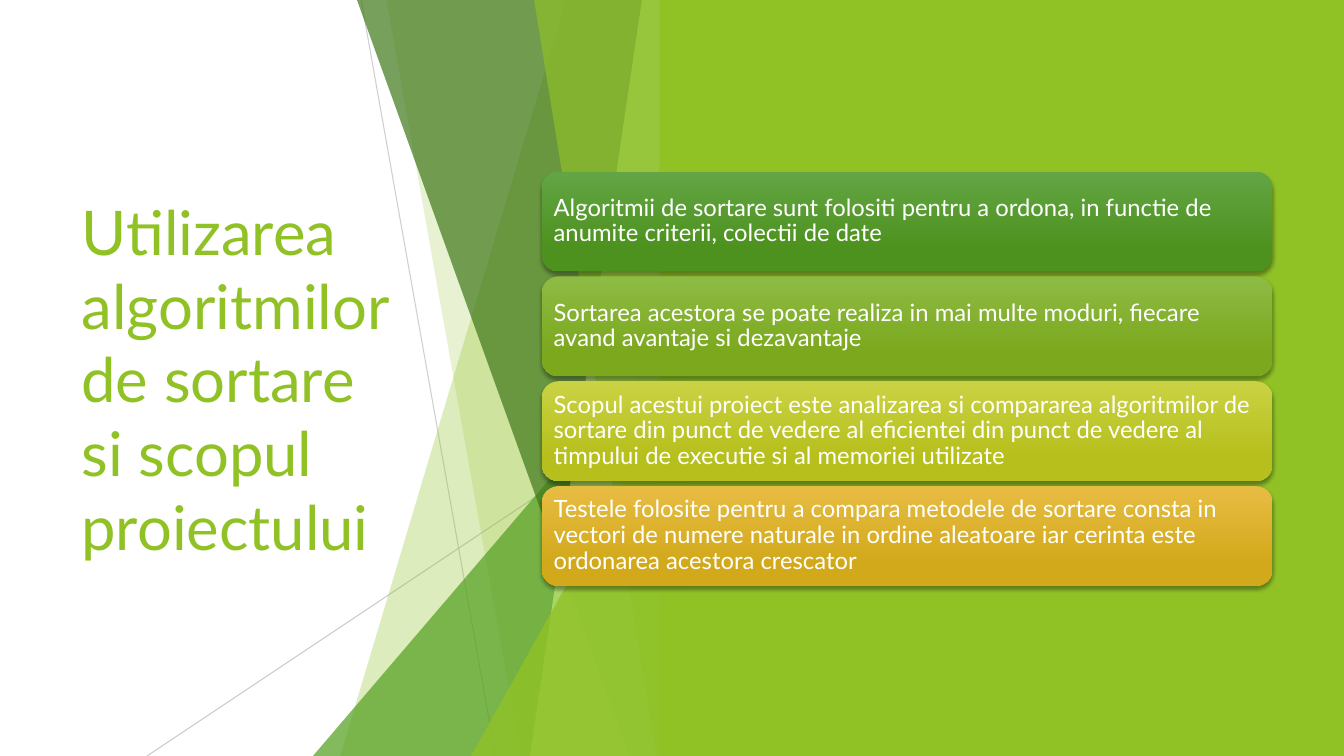
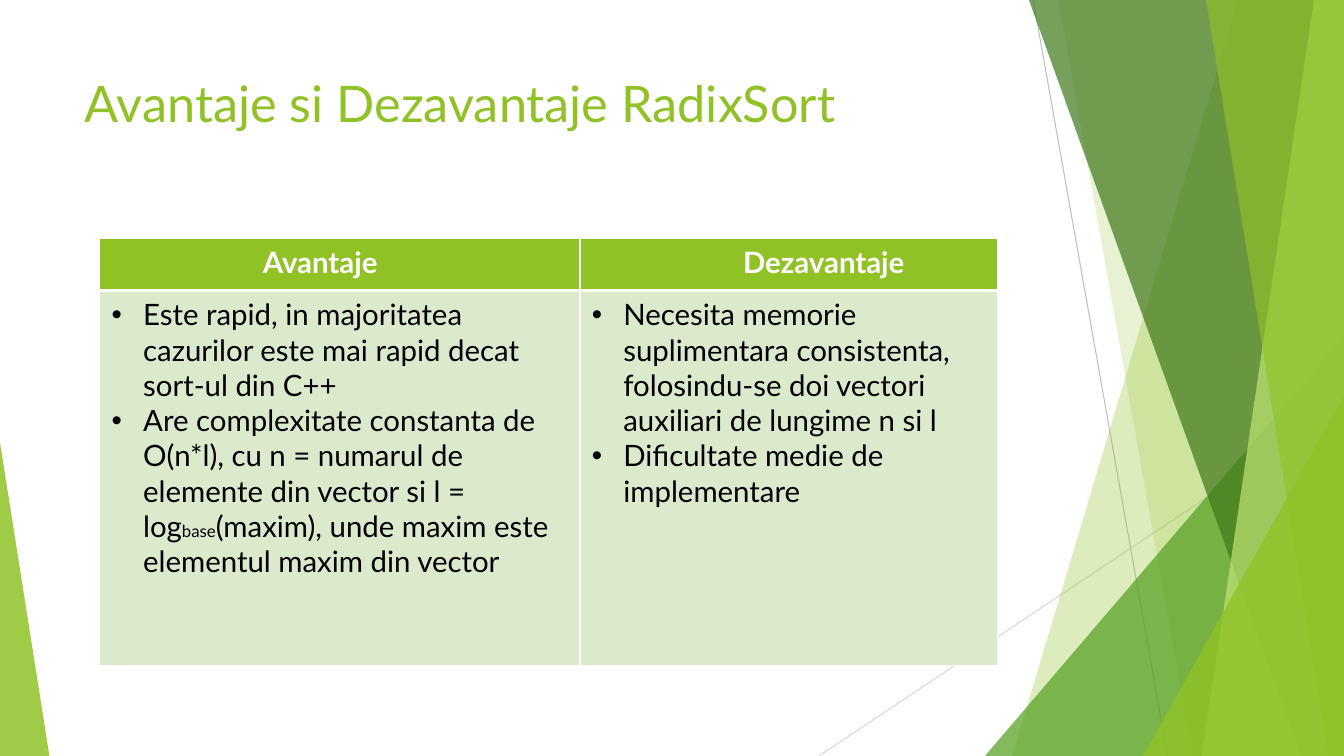
from lxml.etree import SubElement
from pptx import Presentation
from pptx.dml.color import RGBColor
from pptx.enum.shapes import MSO_CONNECTOR, MSO_SHAPE as SHAPE
from pptx.enum.text import MSO_ANCHOR as ANCHOR, MSO_AUTO_SIZE, PP_ALIGN as ALIGN
from pptx.oxml.ns import qn
from pptx.util import Pt

# Shared style
FONT = "Lato"
WIDTH, HEIGHT = 960, 540
WHITE = RGBColor(0xFF, 0xFF, 0xFF)
BLACK = RGBColor(0x00, 0x00, 0x00)
LIME = RGBColor(0x90, 0xC2, 0x26)
GREEN = RGBColor(0x54, 0xA0, 0x21)
FOREST = RGBColor(0x3F, 0x78, 0x19)
PALE_LIME = RGBColor(0xC0, 0xE4, 0x74)
MINT = RGBColor(0xDB, 0xE9, 0xCD)
GRAY = RGBColor(0xBF, 0xBF, 0xBF)
LIGHT_GRAY = RGBColor(0xD9, 0xD9, 0xD9)

# Facets, measured leftwards from the right edge of the group:
# reach at the top, reach at the bottom, top, colour, opacity
FACETS = [
    (75.6, 237, 0, LIME, 30),
    (204, 108, 0, LIME, 20),
    (0, 256.5, 240, GREEN, 72),
    (225, 30.5, 0, FOREST, 70),
    (21.5, 101.5, 0, PALE_LIME, 70),
    (98.5, 11, 0, LIME, 65),
    (0, 143.5, 283, LIME, 80),
]
RAYS = [((222, 0), (126, HEIGHT)), ((0, 290), (375, HEIGHT))]


def set_alpha(shape, percent):
    for color in shape._element.spPr.iter(qn("a:srgbClr")):
        SubElement(color, qn("a:alpha"), val=str(percent * 1000))


def write(paragraph, text, size=17, color=WHITE, bold=False, align=ALIGN.LEFT, spacing=None):
    paragraph.alignment = align
    if spacing:
        paragraph.line_spacing = spacing
    run = paragraph.add_run()
    run.text = text
    run.font.name = FONT
    run.font.size = Pt(size)
    run.font.bold = bold
    run.font.color.rgb = color


def indent(paragraph, left, first=0, bullet=None):
    props = paragraph._p.get_or_add_pPr()
    props.set("marL", str(Pt(left)))
    props.set("indent", str(Pt(first)))
    if bullet:
        SubElement(props, qn("a:buFont"), typeface="Arial")
        SubElement(props, qn("a:buChar"), char=bullet)


def set_borders(cell, **widths):
    props = cell._tc.get_or_add_tcPr()
    for place, side in enumerate("LRTB"):
        line = SubElement(props, qn(f"a:ln{side}"), w=str(Pt(widths.get(side, 1))))
        fill = SubElement(line, qn("a:solidFill"))
        SubElement(fill, qn("a:srgbClr"), val=str(WHITE))
        props.insert(place, line)


class Deck:
    def __init__(self):
        self.prs = Presentation()
        self.prs.slide_width, self.prs.slide_height = Pt(WIDTH), Pt(HEIGHT)
        self.slide = None

    def new_slide(self, title, box, size, anchor):
        self.slide = self.prs.slides.add_slide(self.prs.slide_layouts[5])
        heading = self.slide.shapes.title
        heading.left, heading.top, heading.width, heading.height = map(Pt, box)
        frame = heading.text_frame
        frame.word_wrap = True
        frame.auto_size = MSO_AUTO_SIZE.NONE
        frame.vertical_anchor = anchor
        write(frame.paragraphs[0], title, size=size, color=LIME)

    def finish(self, shape, color, alpha=None):
        shape.fill.solid()
        shape.fill.fore_color.rgb = color
        shape.line.fill.background()
        shape.shadow.inherit = False
        if alpha:
            set_alpha(shape, alpha)

    def block(self, kind, box, color, alpha=None, adjust=None):
        shape = self.slide.shapes.add_shape(kind, *map(Pt, box))
        if adjust is not None:
            shape.adjustments[0] = adjust
        self.finish(shape, color, alpha)

    def polygon(self, points, color, alpha):
        start, *rest = [(Pt(x), Pt(y)) for x, y in points]
        builder = self.slide.shapes.build_freeform(*start)
        builder.add_line_segments(rest, close=True)
        self.finish(builder.convert_to_shape(), color, alpha)

    def ray(self, start, end, color, alpha):
        line = self.slide.shapes.add_connector(
            MSO_CONNECTOR.STRAIGHT, *map(Pt, (*start, *end)))
        line.line.color.rgb = color
        line.line.width = Pt(0.75)
        set_alpha(line, alpha)
        SubElement(line._element.spPr, qn("a:effectLst"))

    def facets(self, right, ray_styles):
        for (start, end), (color, alpha) in zip(RAYS, ray_styles):
            self.ray((right - start[0], start[1]), (right - end[0], end[1]), color, alpha)
        for upper, lower, top, color, alpha in FACETS:
            if upper:
                corners = [(right - upper, top), (right, top),
                           (right, HEIGHT), (right - lower, HEIGHT)]
                self.polygon(corners, color, alpha)
            else:
                box = (right - lower, top, lower, HEIGHT - top)
                self.block(SHAPE.ISOSCELES_TRIANGLE, box, color, alpha, adjust=1)

    def card(self, box, text, upper, lower):
        card = self.slide.shapes.add_shape(SHAPE.ROUNDED_RECTANGLE, *map(Pt, box))
        card.fill.gradient()
        card.fill.gradient_angle = 270
        for stop, color, position in zip(card.fill.gradient_stops, (upper, lower), (0, 0.78)):
            stop.color.rgb = RGBColor.from_string(color)
            stop.position = position
        card.line.fill.background()
        # Soft shadow straight below
        card.shadow.inherit = False
        shadow = SubElement(card._element.spPr.find(qn("a:effectLst")), qn("a:outerShdw"),
                            blurRad=str(Pt(3)), dist=str(Pt(2)), dir="5400000",
                            algn="ctr", rotWithShape="0")
        black = SubElement(shadow, qn("a:srgbClr"), val=str(BLACK))
        SubElement(black, qn("a:alpha"), val="35000")
        frame = card.text_frame
        frame.word_wrap = True
        frame.vertical_anchor = ANCHOR.MIDDLE
        frame.margin_left = frame.margin_right = Pt(5)
        frame.margin_top = frame.margin_bottom = Pt(5)
        write(frame.paragraphs[0], text, spacing=0.9)

    def comparison(self, box, widths, heights, columns):
        table = self.slide.shapes.add_table(2, len(columns), *map(Pt, box)).table
        for row, height in zip(table.rows, heights):
            row.height = Pt(height)
        for index, (heading, points) in enumerate(columns):
            table.columns[index].width = Pt(widths[index])
            head, body = table.cell(0, index), table.cell(1, index)
            for cell, color in ((head, LIME), (body, MINT)):
                cell.fill.solid()
                cell.fill.fore_color.rgb = color
                cell.margin_left = cell.margin_right = Pt(8.5)
                cell.margin_top = cell.margin_bottom = Pt(4.5)
            set_borders(head, B=3)
            set_borders(body, T=3)
            title = head.text_frame.paragraphs[0]
            write(title, heading, size=21, bold=True)
            indent(title, 108)
            frame = body.text_frame
            for number, runs in enumerate(points):
                point = frame.add_paragraph() if number else frame.paragraphs[0]
                for text, size in runs:
                    write(point, text, size=size, color=BLACK)
                indent(point, 22.5, -22.5, "•")


deck = Deck()

# Slide 1: purpose of the project
deck.new_slide("Utilizarea algoritmilor de sortare si\u00a0scopul proiectului",
               (51, 109, 279.5, 322.5), 44, ANCHOR.MIDDLE)
deck.facets(480, [(GRAY, 75), (GRAY, 80)])
deck.block(SHAPE.RECTANGLE, (471, 0, WIDTH - 471, HEIGHT), LIME)
PURPOSES = [
    ("Algoritmii de sortare sunt folositi pentru a ordona, in functie de anumite criterii, "
     "colectii de date", "63A545", "4D921E"),
    ("Sortarea acestora se poate realiza in mai multe moduri, fiecare avand avantaje si "
     "dezavantaje", "8EBB44", "7BA81D"),
    ("Scopul acestui proiect este analizarea si compararea algoritmilor de sortare\u00a0din "
     "punct de vedere al eficientei din punct de vedere al timpului de executie si\u00a0al "
     "memoriei utilizate", "CAD243", "B6BF1B"),
    ("Testele folosite pentru\u00a0a compara metodele de sortare consta in vectori "
     "de\u00a0numere naturale\u00a0in ordine aleatoare iar\u00a0cerinta este ordonarea "
     "acestora crescator", "E7BC43", "D2A91B"),
]
for row, (purpose, upper, lower) in enumerate(PURPOSES):
    deck.card((387, 122.5 + row * 74.9, 522, 71.3), purpose, upper, lower)

# Slide 2: pros and cons of RadixSort
deck.new_slide("Avantaje si\u00a0Dezavantaje RadixSort",
               (53.3, 48, 677, 104), 36, ANCHOR.TOP)
deck.facets(WIDTH, [(GRAY, 100), (LIGHT_GRAY, 100)])
deck.block(SHAPE.ISOSCELES_TRIANGLE, (0, 316, 35.3, 224), LIME, 85, adjust=0)
ADVANTAGES = [
    [("Este rapid, in majoritatea cazurilor este mai rapid decat sort-ul din C++", 21)],
    [("Are complexitate constanta de O(n*l), cu n = numarul de elemente din vector si l = log",
      21), ("base", 12), ("(maxim), unde maxim este elementul maxim din vector", 21)],
]
DRAWBACKS = [
    [("Necesita memorie suplimentara consistenta, folosindu-se doi vectori auxiliari de "
      "lungime n si l", 21)],
    [("Dificultate medie de implementare", 21)],
]
deck.comparison((71.3, 170, 641, 305.5), (343, 298), (37.5, 268),
                [("Avantaje", ADVANTAGES), ("Dezavantaje", DRAWBACKS)])

deck.prs.save("out.pptx")
